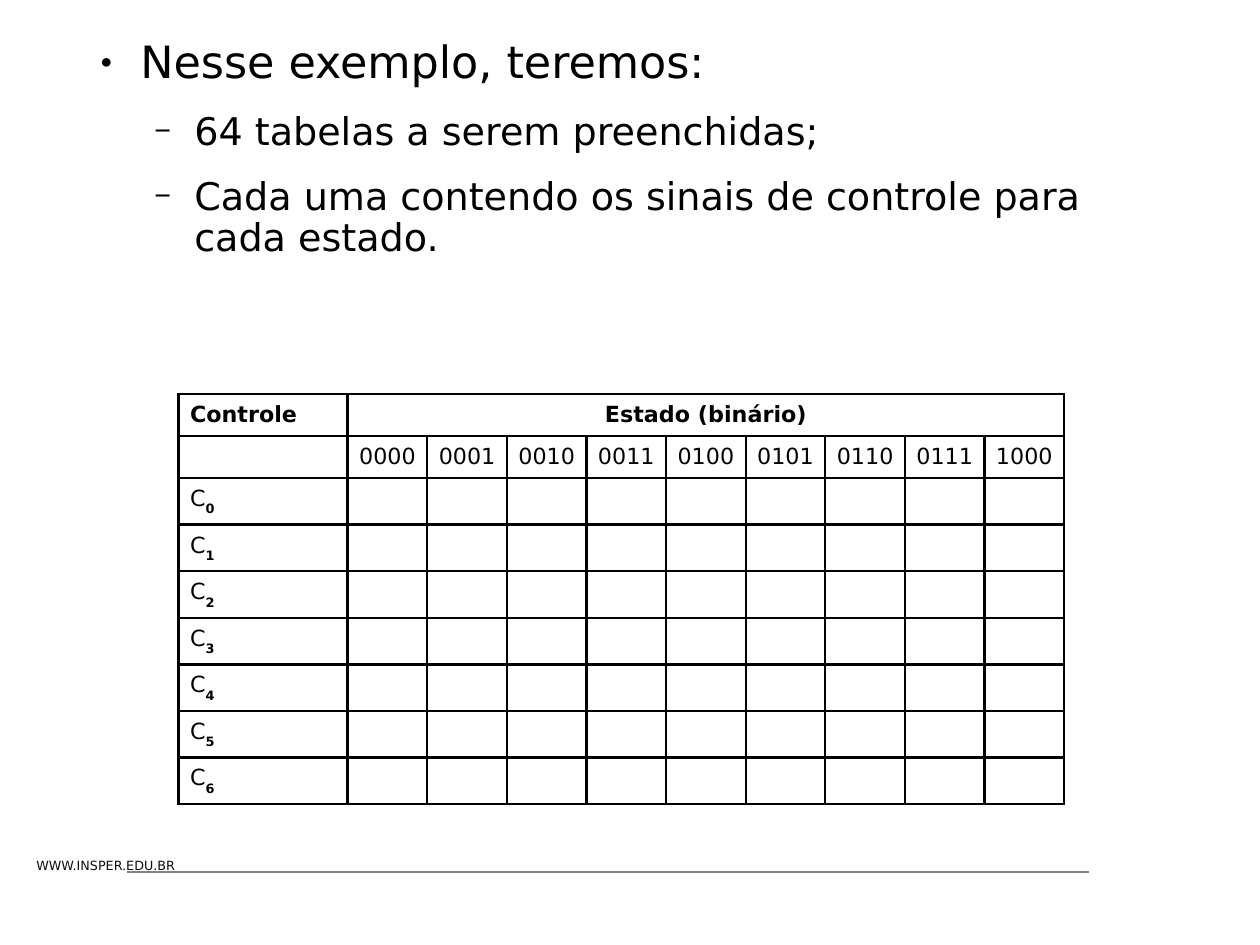
import dataclasses

import lxml.etree
import pptx
import pptx.dml.color
import pptx.enum.shapes
import pptx.enum.text
import pptx.oxml.ns
import pptx.util

Pt = pptx.util.Pt
ALIGN = pptx.enum.text.PP_ALIGN
MIDDLE = pptx.enum.text.MSO_ANCHOR.MIDDLE


@dataclasses.dataclass(frozen=True)
class Theme:
    font: str = "DejaVu Sans"
    ink: str = "000000"
    footer_ink: str = "0D0D0D"
    rule: str = "808080"
    heading: float = 28
    item: float = 24
    table: float = 14
    footer: float = 8


THEME = Theme()
BULLETS = [
    {"level": 0, "text": "Nesse exemplo, teremos:", "size": THEME.heading,
     "char": "●", "scale": 45, "left": 33.8, "before": 0},
    {"level": 1, "text": "64 tabelas a serem preenchidas;", "size": THEME.item,
     "char": "−", "scale": 75, "left": 67.7, "before": 15},
    {"level": 1, "text": "Cada uma contendo os sinais de controle para cada estado.",
     "size": THEME.item, "char": "−", "scale": 75, "left": 67.7, "before": 15},
]
HANGING = 25.2
STATES = [f"{state:04b}" for state in range(9)]
SIGNALS = range(7)


def apply(target, values):
    for name, value in values.items():
        setattr(target, name, value)


def add_xml(parent, tag, **attributes):
    return lxml.etree.SubElement(parent, pptx.oxml.ns.qn(tag), attributes)


def add_span(para, text, size, color=THEME.ink, bold=False):
    span = para.add_run()
    span.text = text
    apply(span.font, {"name": THEME.font, "size": Pt(size), "bold": bold})
    span.font.color.rgb = pptx.dml.color.RGBColor.from_string(color)
    return span


def add_footer(page):
    box = page.shapes.add_textbox(Pt(15.8), Pt(537), Pt(118.8), Pt(16.6))
    box.text_frame.word_wrap = True
    add_span(box.text_frame.paragraphs[0], "WWW.INSPER.EDU.BR",
             THEME.footer, THEME.footer_ink)
    for start, end in ((130.3, 686), (80, 673.2)):
        add_rule(page, start, end, 549.2)


def add_rule(page, start, end, top):
    rule = page.shapes.add_connector(
        pptx.enum.shapes.MSO_CONNECTOR.STRAIGHT, Pt(start), Pt(top), Pt(end), Pt(top))
    rule.line.width = Pt(1)
    rule.line.color.rgb = pptx.dml.color.RGBColor.from_string(THEME.rule)
    add_xml(rule._element.spPr, "a:effectLst")


def set_bullet(para, char, scale, left):
    properties = para._p.get_or_add_pPr()
    properties.set("marL", str(Pt(left)))
    properties.set("indent", str(-Pt(HANGING)))
    color = add_xml(properties, "a:buClr")
    add_xml(color, "a:srgbClr", val=THEME.ink)
    add_xml(properties, "a:buSzPct", val=str(scale * 1000))
    add_xml(properties, "a:buChar", char=char)


def fill_body(body):
    apply(body, {"left": Pt(54.7), "top": Pt(25.4),
                 "width": Pt(684.7), "height": Pt(518.4)})
    frame = body.text_frame
    apply(frame, {"margin_left": 0, "margin_top": 0, "margin_right": 0,
                  "margin_bottom": 0, "word_wrap": True,
                  "auto_size": pptx.enum.text.MSO_AUTO_SIZE.NONE})
    for index, bullet in enumerate(BULLETS):
        para = frame.add_paragraph() if index else frame.paragraphs[0]
        set_bullet(para, bullet["char"], bullet["scale"], bullet["left"])
        apply(para, {"level": bullet["level"], "line_spacing": 0.9,
                     "space_before": Pt(bullet["before"]), "space_after": Pt(0)})
        add_span(para, bullet["text"], bullet["size"])


def format_cell(cell):
    properties = cell._tc.get_or_add_tcPr()
    for side in ("a:lnL", "a:lnR", "a:lnT", "a:lnB"):
        border = add_xml(properties, side, w=str(Pt(1.7)))
        add_xml(add_xml(border, "a:solidFill"), "a:srgbClr", val=THEME.ink)
    cell.fill.background()
    apply(cell, {"vertical_anchor": MIDDLE, "margin_left": Pt(7.2),
                 "margin_right": Pt(7.2), "margin_top": 0, "margin_bottom": 0})


def write_cell(cell, text, align=ALIGN.LEFT, bold=False):
    para = cell.text_frame.paragraphs[0]
    para.alignment = align
    add_span(para, text, THEME.table, bold=bold)
    return para


def add_control_table(page):
    widths = [106.5] + [50.15] * len(STATES)
    heights = [26.5] * 2 + [29.35] * len(SIGNALS)
    table = page.shapes.add_table(
        len(heights), len(widths), Pt(112.5), Pt(248.2),
        Pt(sum(widths)), Pt(sum(heights))).table
    apply(table, {"first_row": False, "horz_banding": False})
    for column, width in zip(table.columns, widths):
        column.width = Pt(width)
    for row, height in zip(table.rows, heights):
        row.height = Pt(height)
    for cell in table.iter_cells():
        format_cell(cell)

    table.cell(0, 1).merge(table.cell(0, len(STATES)))
    write_cell(table.cell(0, 0), "Controle", bold=True)
    write_cell(table.cell(0, 1), "Estado (binário)", ALIGN.CENTER, bold=True)
    for column, state in enumerate(STATES, 1):
        write_cell(table.cell(1, column), state, ALIGN.CENTER)
    for row, signal in enumerate(SIGNALS, 2):
        para = write_cell(table.cell(row, 0), "C")
        subscript = add_span(para, str(signal), THEME.table, bold=True)
        subscript._r.get_or_add_rPr().set("baseline", "-33000")


def main():
    deck = pptx.Presentation()
    apply(deck, {"slide_width": Pt(793.7), "slide_height": Pt(595.28)})
    page = deck.slides.add_slide(deck.slide_layouts[1])
    title, body = page.placeholders
    title._element.getparent().remove(title._element)
    add_footer(page)
    fill_body(body)
    add_control_table(page)
    deck.save("out.pptx")


if __name__ == "__main__":
    main()
